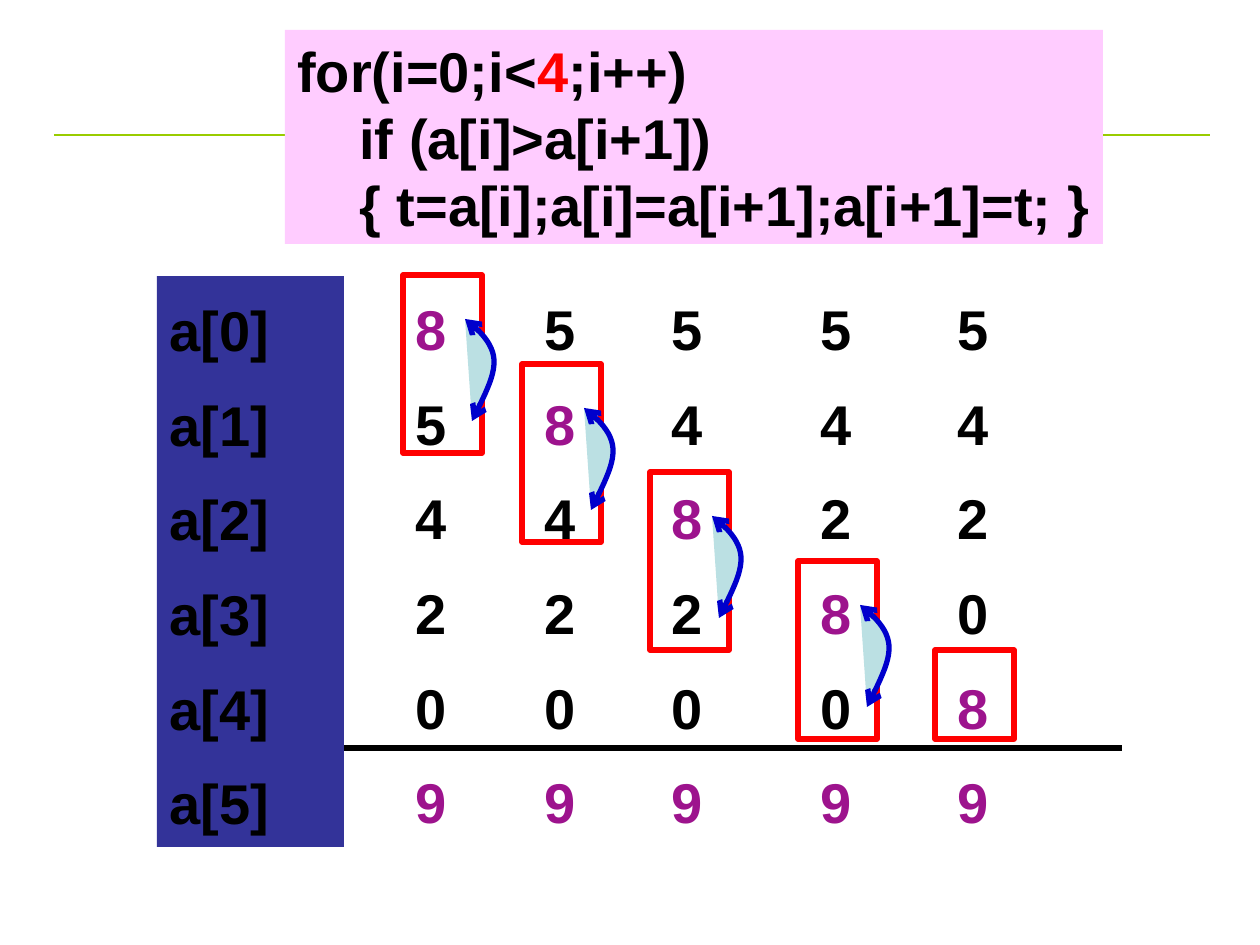
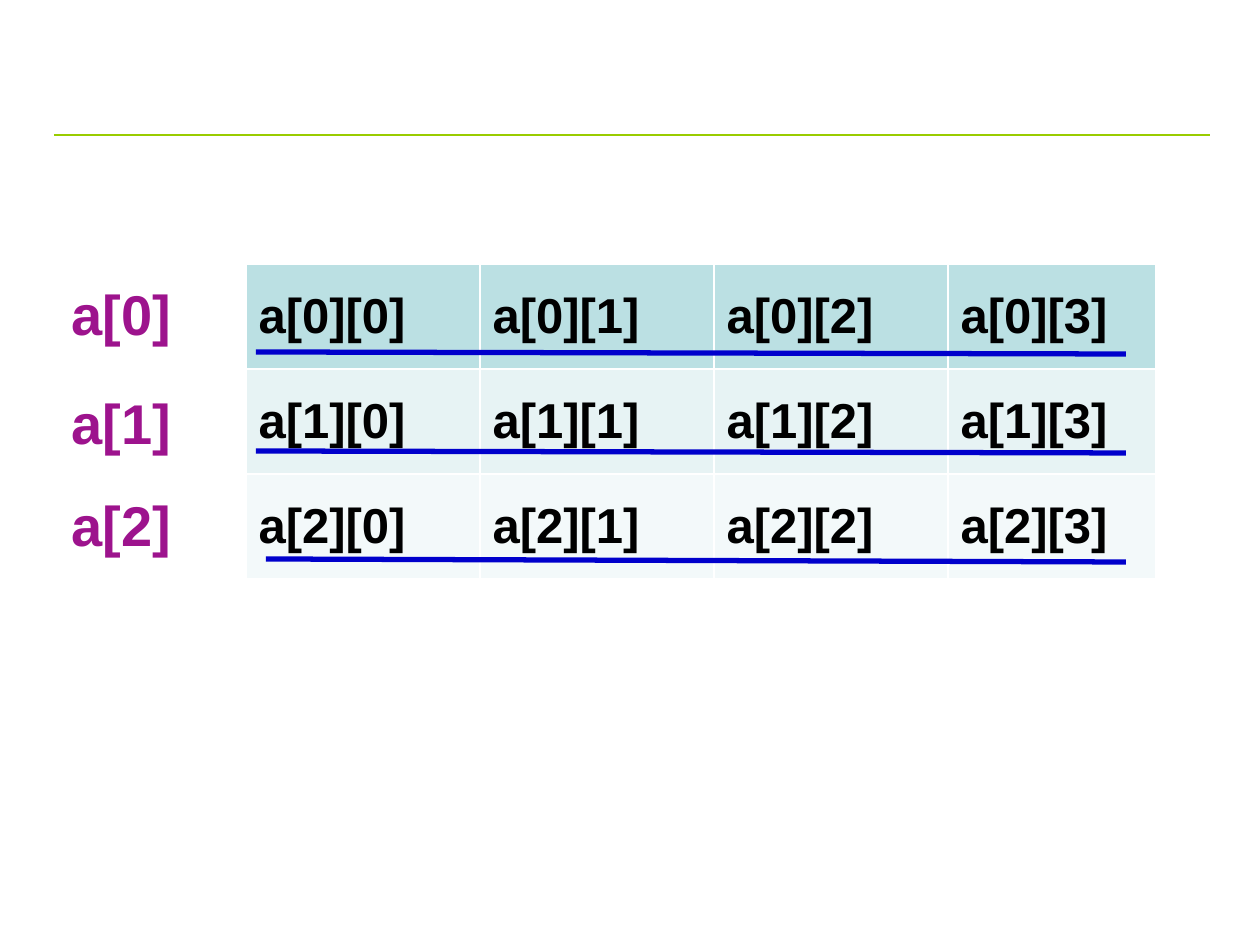
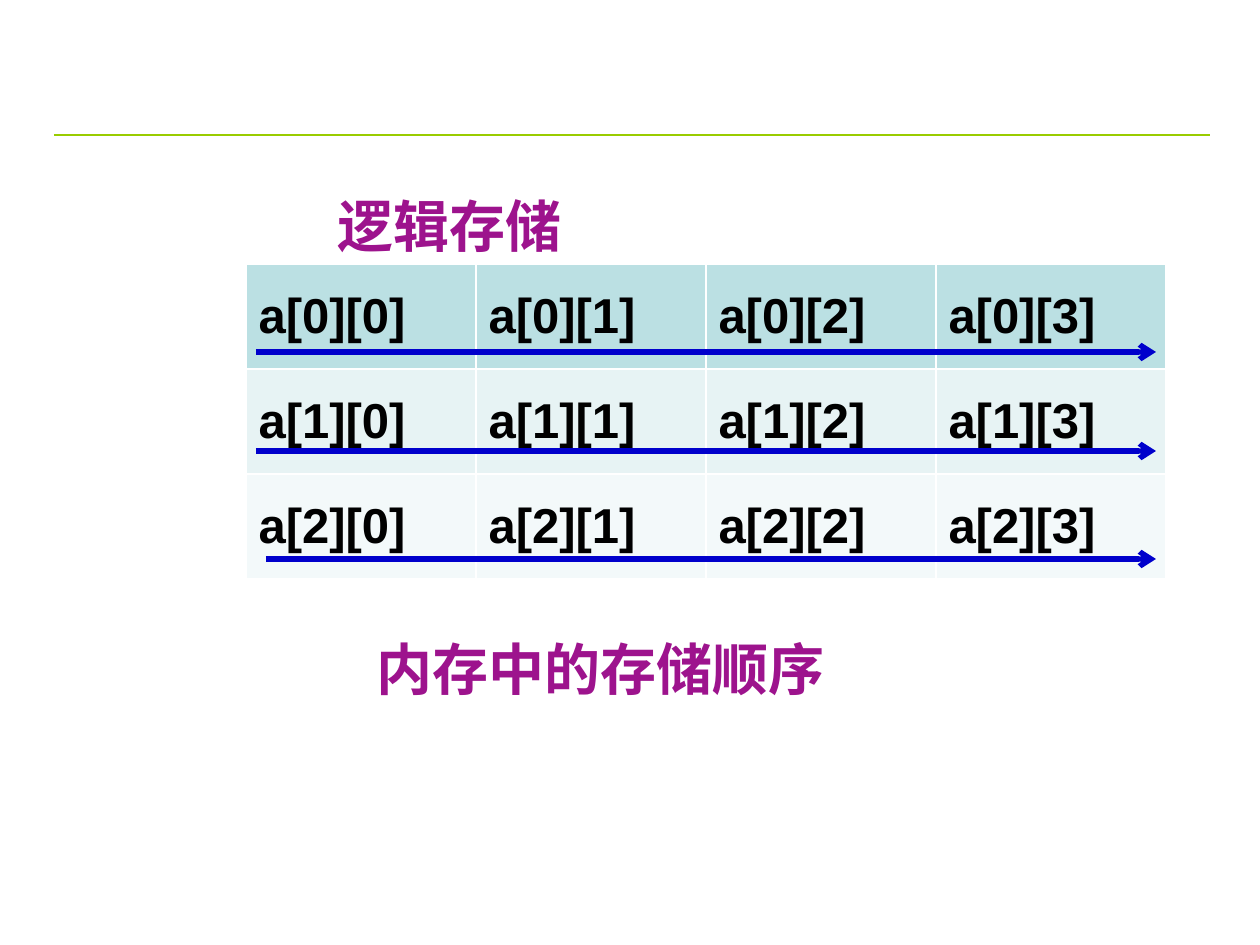
from pptx import Presentation
from pptx.dml.color import RGBColor
from pptx.enum.shapes import MSO_CONNECTOR, MSO_SHAPE
from pptx.enum.text import MSO_ANCHOR, PP_ALIGN
from pptx.oxml.ns import qn
from pptx.util import Emu, Pt
from lxml import etree

STRAIGHT = MSO_CONNECTOR.STRAIGHT
RECTANGLE = MSO_SHAPE.RECTANGLE
PROCESS = MSO_SHAPE.FLOWCHART_PROCESS
TOP, MIDDLE = MSO_ANCHOR.TOP, MSO_ANCHOR.MIDDLE
LEFT = PP_ALIGN.LEFT

SCALE = 914400 / 126
FONT = "Arial"
COLORS = {
    "black": "000000",
    "red": "FF0000",
    "purple": "9D138D",
    "blue": "0000CC",
    "green": "99CC00",
    "navy": "333399",
    "pink": "FFCCFF",
    "teal": "BBE0E3",
    "pale": "E7F3F4",
    "faint": "F3F9FA",
}
ROW_FILLS = ["teal", "pale", "faint"]
TABLE_LEFT, TABLE_TOP, ROW_HEIGHT = 246, 264, 105
FRAME_HEIGHT = 178

PASSES = [
    (403, "854209", (403, 275)),
    (532, "584209", (522, 364)),
    (659, "548209", (650, 472)),
    (808, "542809", (798, 561)),
    (945, "542089", (935, 650)),
]
ARC = [
    [(7, 102), (18, 79), (30, 58), (29, 41)],
    [(29, 41), (28, 24), (14, 11), (0, 0)],
]


def px(value):
    return Emu(round(value * SCALE))


def color(name):
    return RGBColor.from_string(COLORS[name])


def write_text(frame, lines, size=32, ink="black", spacing=None, before=0, wrap=True, anchor=TOP):
    frame.word_wrap = wrap
    frame.vertical_anchor = anchor
    for index, line in enumerate(lines):
        para = frame.paragraphs[0] if index == 0 else frame.add_paragraph()
        para.alignment = LEFT
        if spacing:
            para.line_spacing = spacing
        if index and before:
            para.space_before = Pt(before)
        for text, tint in [(line, ink)] if isinstance(line, str) else line:
            span = para.add_run()
            span.text = text
            span.font.name = FONT
            span.font.size = Pt(size)
            span.font.bold = True
            span.font.color.rgb = color(tint)


def add_label(page, text, left, top, width):
    box = page.shapes.add_textbox(px(left), px(top), px(width), px(81))
    write_text(box.text_frame, [text], ink="purple")


def add_panel(page, left, top, width, height, kind=RECTANGLE, fill=None, outline=None):
    panel = page.shapes.add_shape(kind, px(left), px(top), px(width), px(height))
    panel.shadow.inherit = False
    if fill:
        panel.fill.solid()
        panel.fill.fore_color.rgb = color(fill)
    else:
        panel.fill.background()
    if outline:
        panel.line.color.rgb = color(outline)
        panel.line.width = Pt(3)
    else:
        panel.line.fill.background()
    return panel


def add_arrowheads(shape, *ends):
    line = shape.line._get_or_add_ln()
    for end in ends:
        etree.SubElement(line, qn(f"a:{end}"), type="arrow")


def add_line(page, start, end, ink="blue", width=3, arrow=False):
    line = page.shapes.add_connector(STRAIGHT, *map(px, start + end))
    line.line.color.rgb = color(ink)
    line.line.width = Pt(width)
    if arrow:
        add_arrowheads(line, "tailEnd")
    etree.SubElement(line._element.spPr, qn("a:effectLst"))


def curve_point(curve, t):
    weights = [(1 - t) ** 3, 3 * t * (1 - t) ** 2, 3 * t**2 * (1 - t), t**3]
    return [sum(w * point[axis] for w, point in zip(weights, curve)) for axis in (0, 1)]


def add_swap_arc(page, left, top, steps=12):
    points = [curve_point(curve, step / steps) for curve in ARC for step in range(1, steps + 1)]
    start, *rest = [(px(left + x), px(top + y)) for x, y in [ARC[0][0]] + points]
    builder = page.shapes.build_freeform(*start)
    builder.add_line_segments(rest, close=False)
    arc = builder.convert_to_shape()
    arc.shadow.inherit = False
    arc.fill.solid()
    arc.fill.fore_color.rgb = color("teal")
    arc.line.color.rgb = color("blue")
    arc.line.width = Pt(3)
    add_arrowheads(arc, "headEnd", "tailEnd")


def add_matrix(page, widths):
    rows = len(ROW_FILLS)
    table = page.shapes.add_table(
        rows, len(widths), px(TABLE_LEFT), px(TABLE_TOP), px(sum(widths)), px(rows * ROW_HEIGHT)
    ).table
    table.first_row = table.horz_banding = False
    for column, width in enumerate(widths):
        table.columns[column].width = px(width)
    for row, fill in enumerate(ROW_FILLS):
        table.rows[row].height = px(ROW_HEIGHT)
        for column in range(len(widths)):
            cell = table.cell(row, column)
            cell.fill.solid()
            cell.fill.fore_color.rgb = color(fill)
            cell.vertical_anchor = MIDDLE
            write_text(cell.text_frame, [f"a[{row}][{column}]"], size=28, anchor=None)


def add_page(deck):
    page = deck.slides.add_slide(deck.slide_layouts[6])
    add_line(page, (54, 135), (1210, 135), ink="green", width=1.5)
    return page


def add_sort_page(deck):
    page = add_page(deck)
    add_line(page, (325, 748), (1122, 748), ink="black")
    for step, (left, digits, (frame_left, frame_top)) in enumerate(PASSES):
        box = page.shapes.add_textbox(px(left), px(275), px(98), px(571))
        column = [[(digit, "purple" if digit in "89" else "black")] for digit in digits]
        write_text(box.text_frame, column, spacing=1.2, before=8)
        swaps = step < len(PASSES) - 1
        height = FRAME_HEIGHT if swaps else FRAME_HEIGHT // 2
        add_panel(page, frame_left, frame_top, 79, height, kind=PROCESS, outline="red")
        if swaps:
            add_swap_arc(page, frame_left + 62, frame_top + 44)
    names = add_panel(page, 157, 276, 187, 571, fill="navy")
    write_text(names.text_frame, [f"a[{row}]" for row in range(6)], spacing=1.2, before=8)
    code = add_panel(page, 285, 30, 818, 214, fill="pink")
    write_text(
        code.text_frame,
        [
            [("for(i=0;i<", "black"), ("4", "red"), (";i++)", "black")],
            "    if (a[i]>a[i+1])",
            "    { t=a[i];a[i]=a[i+1];a[i+1]=t; }",
        ],
        wrap=False,
    )


def add_rows_page(deck):
    page = add_page(deck)
    add_matrix(page, [234, 234, 234, 208])
    for row, top in enumerate([273, 382, 484]):
        add_label(page, f"a[{row}]", 59, top, 150)
    for left, top, end in [(256, 352, 354), (256, 451, 453), (266, 559, 562)]:
        add_line(page, (left, top), (1126, end))


def add_storage_page(deck):
    page = add_page(deck)
    add_matrix(page, [230] * 4)
    for left, top in [(256, 352), (256, 451), (266, 559)]:
        add_line(page, (left, top), (1156, top), arrow=True)
    add_label(page, "逻辑存储", 325, 185, 462)
    add_label(page, "内存中的存储顺序", 364, 628, 601)


def main():
    deck = Presentation()
    deck.slide_width, deck.slide_height = px(1260), px(945)
    add_sort_page(deck)
    add_rows_page(deck)
    add_storage_page(deck)
    deck.save("out.pptx")


if __name__ == "__main__":
    main()
